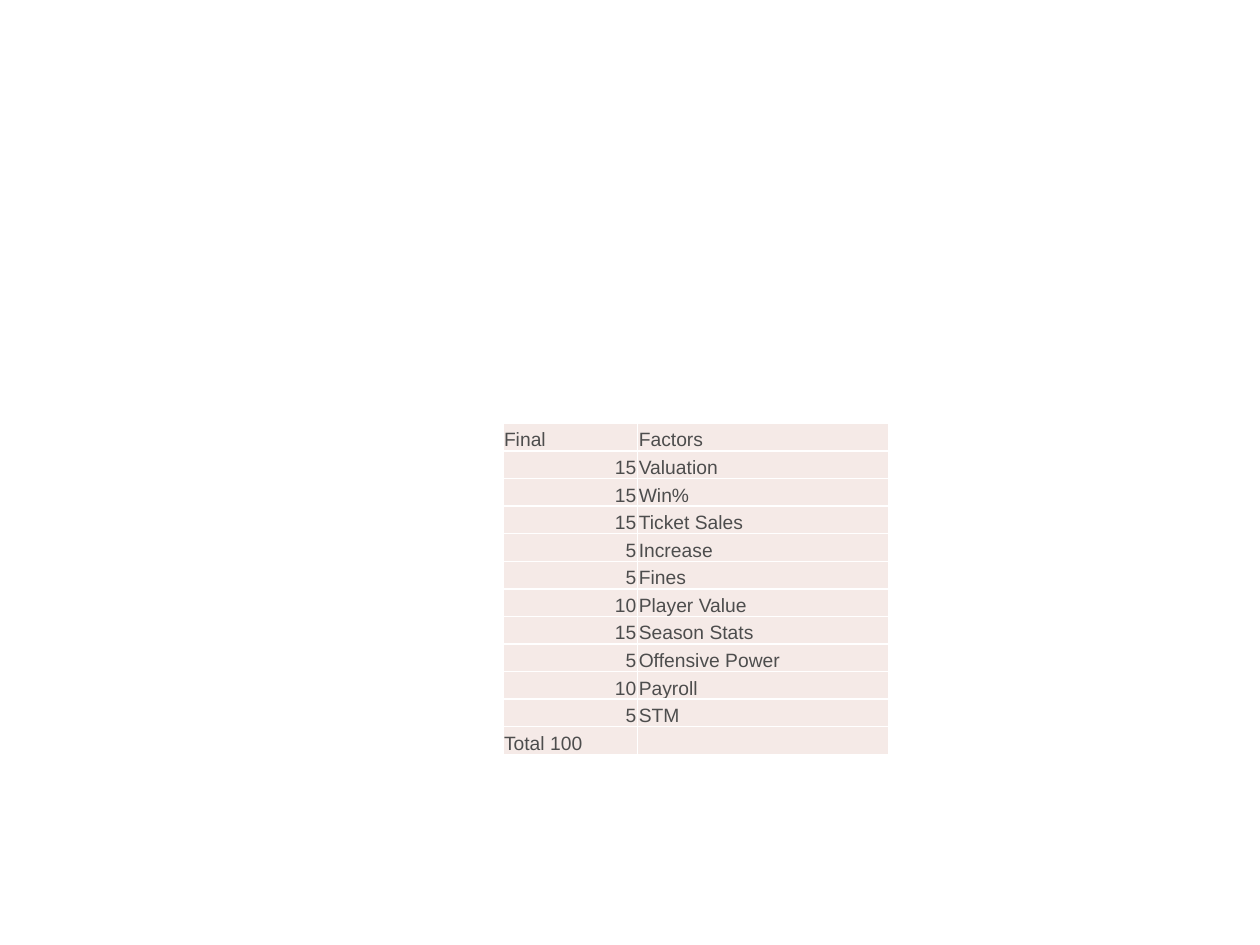
from lxml import etree
from pptx import Presentation
from pptx.dml.color import RGBColor as RGB
from pptx.enum.text import MSO_ANCHOR, PP_ALIGN
from pptx.oxml.ns import qn
from pptx.util import Inches, Pt

COLORS = {"text": "4D4D4D", "fill": "F5EAE7", "border": "FFFFFF"}
FONT_SIZE = 11
ROWS = [
    ("Final", "Factors"),
    ("15", "Valuation"),
    ("15", "Win%"),
    ("15", "Ticket Sales"),
    ("5", "Increase"),
    ("5", "Fines"),
    ("10", "Player Value"),
    ("15", "Season Stats"),
    ("5", "Offensive Power"),
    ("10", "Payroll"),
    ("5", "STM"),
    ("Total 100", ""),
]


def set_borders(cell):
    """Draw a thin line on all four sides; borders precede the cell fill."""
    tc_pr = cell._tc.get_or_add_tcPr()
    for i, side in enumerate(("lnL", "lnR", "lnT", "lnB")):
        ln = etree.Element(qn(f"a:{side}"), w=str(Pt(1)))
        solid = etree.SubElement(ln, qn("a:solidFill"))
        etree.SubElement(solid, qn("a:srgbClr"), val=COLORS["border"])
        tc_pr.insert(i, ln)


def format_cell(cell, text):
    cell.margin_left = cell.margin_right = cell.margin_top = Inches(0.01)
    cell.margin_bottom = 0
    cell.vertical_anchor = MSO_ANCHOR.BOTTOM
    cell.fill.solid()
    cell.fill.fore_color.rgb = RGB.from_string(COLORS["fill"])
    set_borders(cell)

    p = cell.text_frame.paragraphs[0]
    p.text = text
    p.alignment = PP_ALIGN.RIGHT if text.isdigit() else PP_ALIGN.LEFT
    for r in p.runs:
        r.font.name = "Arial"
        r.font.size = Pt(FONT_SIZE)
        r.font.bold = False
        r.font.color.rgb = RGB.from_string(COLORS["text"])
    if not text:
        # Keeps the empty cell from stretching its row
        etree.SubElement(p._p, qn("a:endParaRPr"), sz=str(FONT_SIZE * 100))


def add_factor_table(slide, left, top, width, height):
    shape = slide.shapes.add_table(len(ROWS), 2, left, top, width, height)
    table = shape.table
    table.first_row = table.horz_banding = False
    table.columns[0].width = Inches(1.07)
    table.columns[1].width = width - Inches(1.07)
    for row, texts in zip(table.rows, ROWS):
        row.height = height // len(ROWS)
        for cell, text in zip(row.cells, texts):
            format_cell(cell, text)


def main():
    prs = Presentation()
    prs.slide_width, prs.slide_height = Inches(10), Inches(7.5)
    slide = prs.slides.add_slide(prs.slide_layouts[6])
    add_factor_table(slide, Inches(3.99), Inches(3.36), Inches(3.06), Inches(2.63))
    prs.save("out.pptx")


if __name__ == "__main__":
    main()
